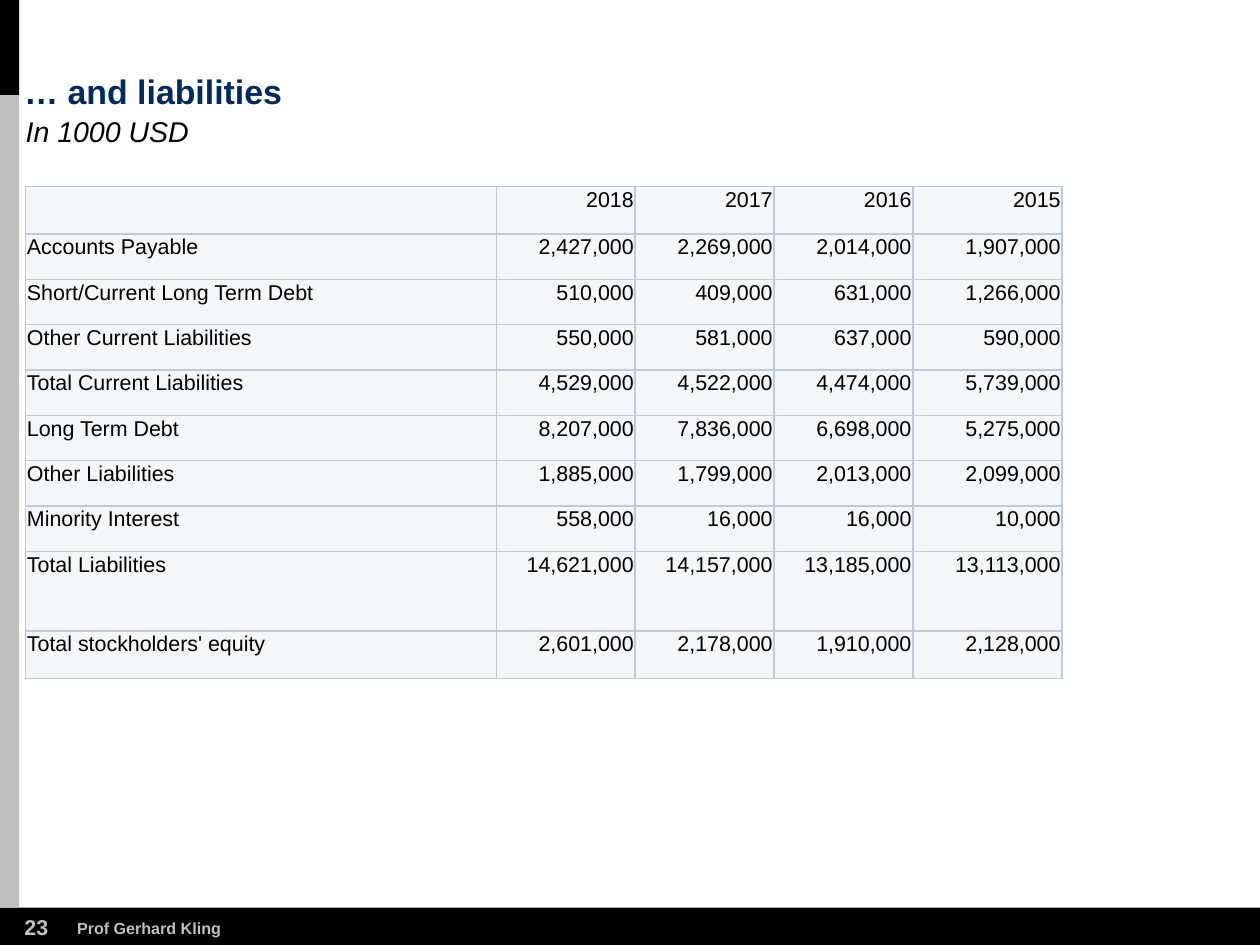
from lxml import etree
from pptx import Presentation
from pptx.dml.color import RGBColor
from pptx.enum import shapes, text
from pptx.oxml import ns
from pptx.util import Inches, Pt

TITLE = "… and liabilities"
SUBTITLE = "In 1000 USD"
PAGE_NUMBER = "23"
AUTHOR = "Prof Gerhard Kling"

YEARS = ["2018", "2017", "2016", "2015"]
LIABILITIES = [
    ("Accounts Payable", 2427000, 2269000, 2014000, 1907000),
    ("Short/Current Long Term Debt", 510000, 409000, 631000, 1266000),
    ("Other Current Liabilities", 550000, 581000, 637000, 590000),
    ("Total Current Liabilities", 4529000, 4522000, 4474000, 5739000),
    ("Long Term Debt", 8207000, 7836000, 6698000, 5275000),
    ("Other Liabilities", 1885000, 1799000, 2013000, 2099000),
    ("Minority Interest", 558000, 16000, 16000, 10000),
    ("Total Liabilities", 14621000, 14157000, 13185000, 13113000),
    ("Total stockholders' equity", 2601000, 2178000, 1910000, 2128000),
]

COLORS = {
    "black": "000000",
    "gray": "C0C0C0",
    "navy": "002960",
    "cell": "F4F6F8",
    "border": "BFCAD7",
}

SLIDE_WIDTH, SLIDE_HEIGHT = 9.8, 7.35
FOOTER_TOP = 7.06
SIDE_WIDTH, SIDE_SPLIT = 0.15, 0.74
BARS = [  # left, top, width, height, color
    (0, FOOTER_TOP, SLIDE_WIDTH, SLIDE_HEIGHT - FOOTER_TOP, "black"),
    (0, 0, SIDE_WIDTH, SIDE_SPLIT, "black"),
    (0, SIDE_SPLIT, SIDE_WIDTH, FOOTER_TOP - SIDE_SPLIT, "gray"),
]

TITLE_BOX = (0.19, 0.58, 8.38, 0.29)
TEXT_BOXES = [  # text, box, wrap, font
    (PAGE_NUMBER, (0.19, 7.11, 0.2, 0.2), False, {"size": Pt(12), "bold": True, "color": "gray"}),
    (AUTHOR, (0.6, 7.14, 1.13, 0.15), False, {"size": Pt(9), "bold": True, "color": "gray"}),
    (SUBTITLE, (0.2, 0.89, 9.43, 0.27), True, {"size": Pt(16), "italic": True, "color": "black"}),
]

TABLE_LEFT, TABLE_TOP = 0.2, 1.45
COLUMN_WIDTHS = [3.66, 1.08, 1.08, 1.08, 1.16]
ROW_HEIGHTS = [0.37] + [0.353] * 7 + [0.62, 0.37]


def rgb(name):
    return RGBColor.from_string(COLORS[name])


def inches(box):
    return [Inches(length) for length in box]


def write(frame, content, color, **font_values):
    """Fill the first paragraph with one formatted run and return the paragraph."""
    paragraph = frame.paragraphs[0]
    run = paragraph.add_run()
    run.text = content
    for name, value in {"name": "Arial", **font_values}.items():
        setattr(run.font, name, value)
    run.font.color.rgb = rgb(color)
    return paragraph


def set_frame(frame, **values):
    margins = dict.fromkeys(("margin_left", "margin_top", "margin_right", "margin_bottom"), 0)
    for name, value in {**margins, **values}.items():
        setattr(frame, name, value)


def add_bar(slide, left, top, width, height, color):
    bar = slide.shapes.add_shape(
        shapes.MSO_SHAPE.RECTANGLE, *inches((left, top, width, height)))
    bar.shadow.inherit = False
    bar.fill.solid()
    bar.fill.fore_color.rgb = rgb(color)
    bar.line.fill.background()


def add_borders(cell):
    properties = cell._tc.get_or_add_tcPr()
    for side in ("lnL", "lnR", "lnT", "lnB"):
        line = etree.SubElement(properties, ns.qn(f"a:{side}"), w=str(Pt(1)))
        fill = etree.SubElement(line, ns.qn("a:solidFill"))
        etree.SubElement(fill, ns.qn("a:srgbClr"), val=COLORS["border"])


def format_cell(cell):
    add_borders(cell)
    cell.fill.solid()
    cell.fill.fore_color.rgb = rgb("cell")
    for side in ("left", "top", "right"):
        setattr(cell, f"margin_{side}", Inches(0.01))
    cell.margin_bottom = 0


def add_liabilities_table(slide):
    rows = [["", *YEARS]]
    rows += [[label, *(f"{value:,}" for value in values)] for label, *values in LIABILITIES]
    box = (TABLE_LEFT, TABLE_TOP, sum(COLUMN_WIDTHS), sum(ROW_HEIGHTS))
    table = slide.shapes.add_table(len(rows), len(COLUMN_WIDTHS), *inches(box)).table
    table.first_row = table.horz_banding = False
    for column, width in zip(table.columns, COLUMN_WIDTHS):
        column.width = Inches(width)
    for row, height in zip(table.rows, ROW_HEIGHTS):
        row.height = Inches(height)
    for row, contents in zip(table.rows, rows):
        for index, (cell, content) in enumerate(zip(row.cells, contents)):
            format_cell(cell)
            if content:
                paragraph = write(cell.text_frame, content, "black", size=Pt(12))
                paragraph.alignment = text.PP_ALIGN.RIGHT if index else text.PP_ALIGN.LEFT


def main():
    presentation = Presentation()
    presentation.slide_width = Inches(SLIDE_WIDTH)
    presentation.slide_height = Inches(SLIDE_HEIGHT)
    slide = presentation.slides.add_slide(presentation.slide_layouts.get_by_name("Title Only"))

    for bar in BARS:
        add_bar(slide, *bar)

    title = slide.shapes.title
    title.left, title.top, title.width, title.height = inches(TITLE_BOX)
    set_frame(title.text_frame, word_wrap=True, auto_size=text.MSO_AUTO_SIZE.NONE,
              vertical_anchor=text.MSO_ANCHOR.BOTTOM)
    paragraph = write(title.text_frame, TITLE, "navy", size=Pt(19), bold=True)
    paragraph.alignment = text.PP_ALIGN.LEFT
    paragraph.line_spacing = 0.9

    for content, box, wrap, font in TEXT_BOXES:
        frame = slide.shapes.add_textbox(*inches(box)).text_frame
        set_frame(frame, word_wrap=wrap)
        write(frame, content, **font)

    add_liabilities_table(slide)
    presentation.save("out.pptx")


if __name__ == "__main__":
    main()
